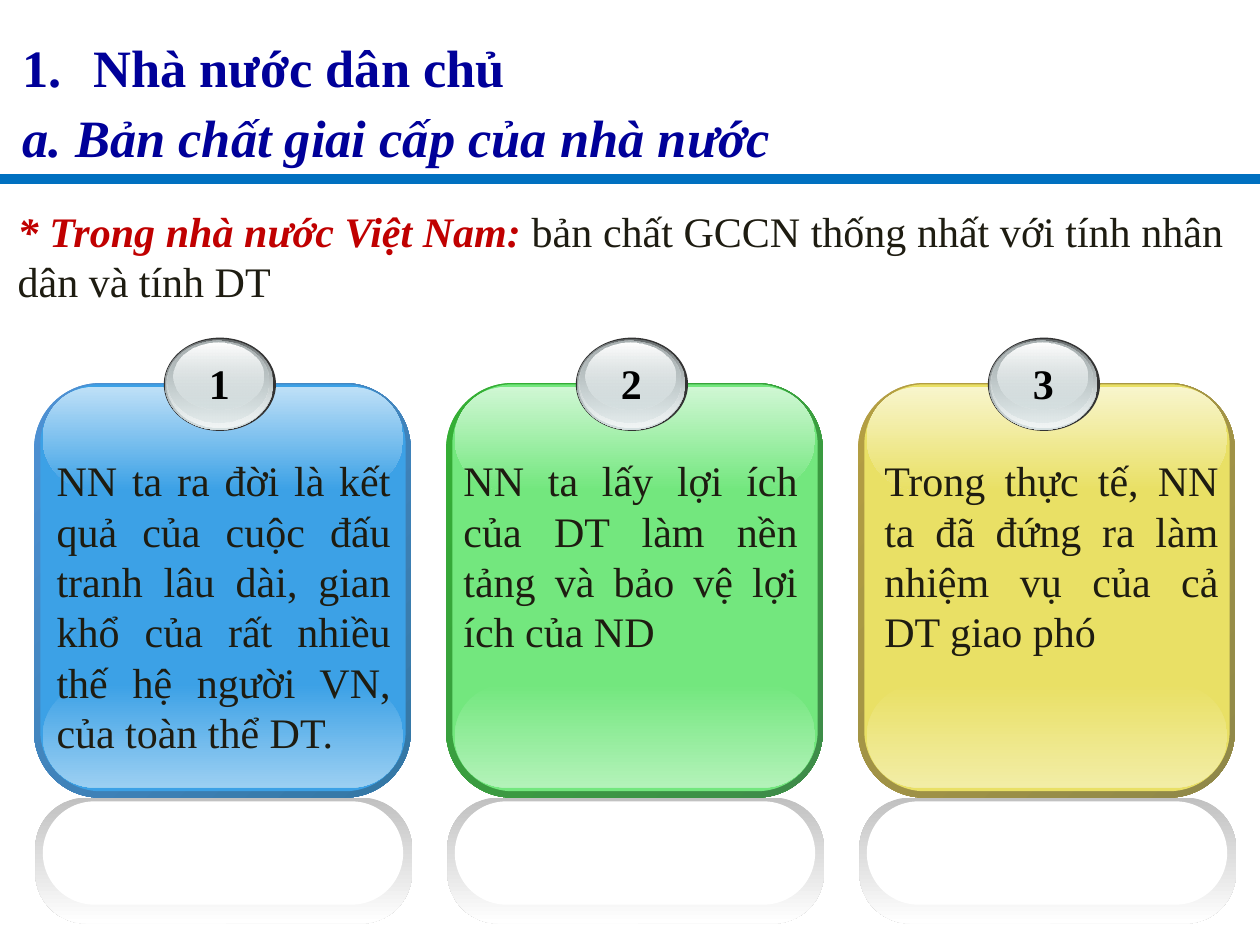
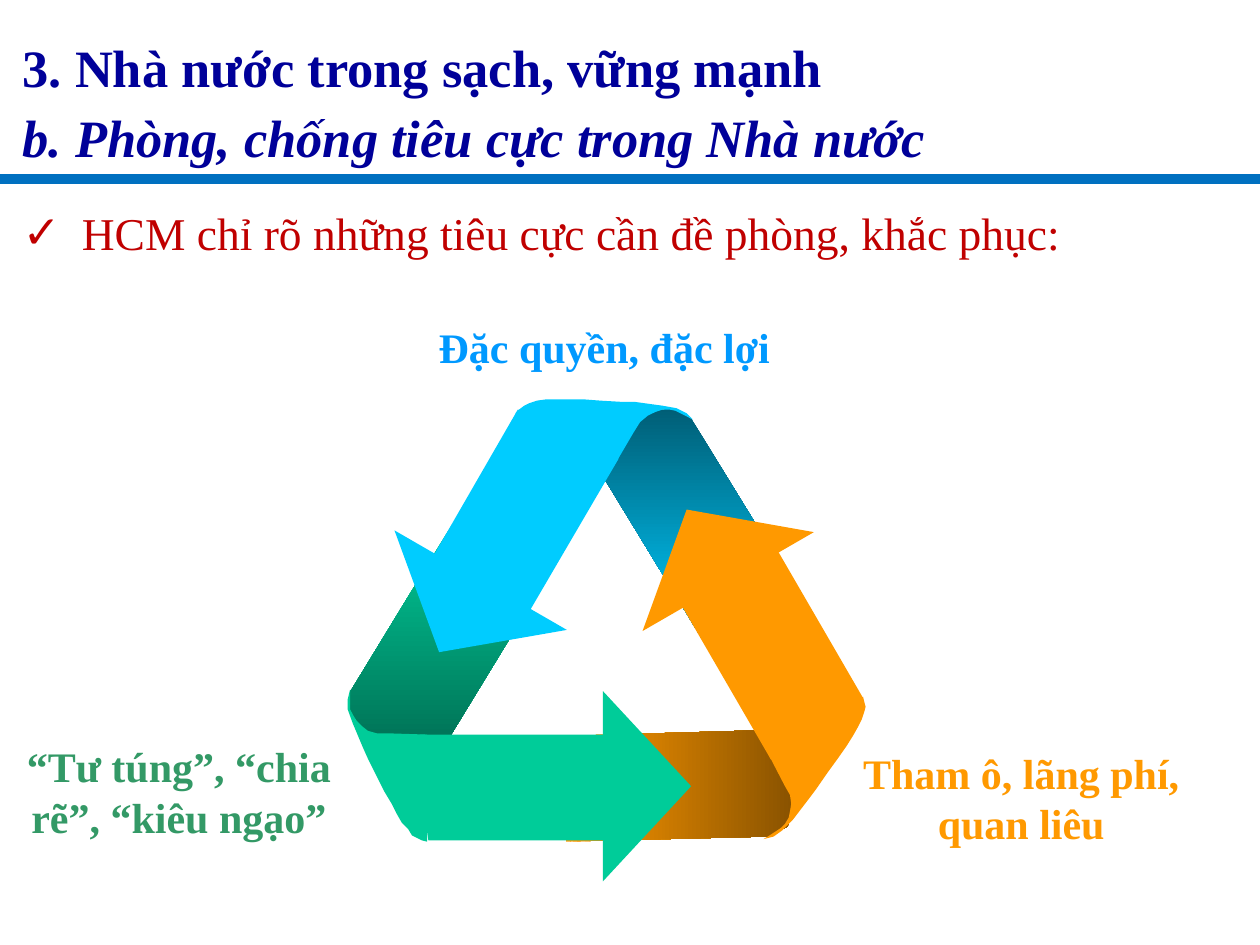
from lxml.etree import SubElement
from pptx import Presentation
from pptx.dml.color import RGBColor
from pptx.enum.shapes import MSO_CONNECTOR, MSO_SHAPE
from pptx.enum.text import MSO_ANCHOR, MSO_AUTO_SIZE, PP_ALIGN
from pptx.oxml.ns import qn
from pptx.util import Inches, Pt

FONT = "Times New Roman"
NAVY = RGBColor(0x00, 0x00, 0x99)
RULE_BLUE = RGBColor(0x00, 0x70, 0xC0)
RED = RGBColor(0xC0, 0x00, 0x00)
INK = RGBColor(0x1E, 0x1C, 0x11)
BLACK = RGBColor(0x00, 0x00, 0x00)
WHITE = RGBColor(0xFF, 0xFF, 0xFF)
SHADE = RGBColor(0xC1, 0xC1, 0xC1)

BADGE_EDGE = RGBColor(0x33, 0x33, 0x33)
BADGE_DARK = RGBColor(0x63, 0x68, 0x69)
BADGE_MID = RGBColor(0xAA, 0xB2, 0xB3)
BADGE_PALE = RGBColor(0xD6, 0xE1, 0xE2)
BADGE_LIGHT = RGBColor(0xF1, 0xF5, 0xF5)

CYAN = RGBColor(0x00, 0xCC, 0xFF)
DARK_CYAN = RGBColor(0x00, 0x5E, 0x76)
GREEN = RGBColor(0x00, 0xCC, 0x99)
DARK_GREEN = RGBColor(0x00, 0x5E, 0x47)
ORANGE = RGBColor(0xFF, 0x99, 0x00)
BROWN = RGBColor(0x76, 0x47, 0x00)
LABEL_BLUE = RGBColor(0x00, 0x99, 0xFF)
LABEL_GREEN = RGBColor(0x33, 0x99, 0x66)

# Edge start, edge end, face, bottom glow, top glow
BLUE_CARD = [RGBColor.from_string(c) for c in ("4E91D4", "3477A4", "3CA1E6", "9BCFF2", "BEE0F7")]
GREEN_CARD = [RGBColor.from_string(c) for c in ("34B034", "3F8B4A", "73E77E", "B3F2B9", "D0F7D4")]
YELLOW_CARD = [RGBColor.from_string(c) for c in ("B59F43", "8F8849", "E9E065", "F2EDA6", "F8F5CC")]

CARD_LEFT, CARD_PITCH = 0.27, 3.27
CARDS = [
    ("NN ta ra đời là kết quả của cuộc đấu tranh lâu dài, gian khổ của rất nhiều "
     "thế hệ người VN, của toàn thể DT.", BLUE_CARD, 0.35, 2.5),
    ("NN ta lấy lợi ích của DT làm nền tảng và bảo vệ lợi ích của ND", GREEN_CARD, 3.58, 1.7),
    ("Trong thực tế, NN ta đã đứng ra làm nhiệm vụ của cả DT giao phó", YELLOW_CARD, 6.92, 1.7),
]

CYAN_TAIL = [(5.59, 5.1), (4.51, 3.33), (5.35, 3.24), (5.49, 3.33), (6.33, 4.7)]
CYAN_BODY = [(4.08, 5.06), (4.91, 3.64), (4.51, 3.42), (4.11, 3.25), (3.32, 4.62)]
CYAN_FOLD = [
    (4.86, 3.72), (4.09, 3.28), (4.12, 3.25), (4.16, 3.22), (4.2, 3.2), (4.26, 3.18),
    (4.33, 3.17), (4.41, 3.17), (4.64, 3.17), (4.77, 3.18), (4.94, 3.19), (5.04, 3.19),
    (5.26, 3.22), (5.37, 3.24), (5.45, 3.28), (5.5, 3.33), (5.46, 3.31), (5.42, 3.29),
    (5.36, 3.26), (5.31, 3.25), (5.26, 3.25), (5.2, 3.27), (5.14, 3.3), (5.08, 3.35),
    (5.03, 3.43)]
ORANGE_TAIL = [(4.52, 5.84), (6.59, 5.78), (6.25, 6.56), (6.1, 6.64), (4.49, 6.68)]
ORANGE_BODY = [(5.29, 4.6), (6.12, 6.03), (6.5, 5.8), (6.85, 5.54), (6.05, 4.16)]
ORANGE_FOLD = [
    (6.09, 5.97), (6.85, 5.53), (6.86, 5.57), (6.87, 5.61), (6.86, 5.65), (6.84, 5.71),
    (6.81, 5.77), (6.77, 5.84), (6.72, 5.92), (6.65, 6.02), (6.57, 6.13), (6.48, 6.26),
    (6.42, 6.34), (6.29, 6.51), (6.21, 6.59), (6.14, 6.64), (6.06, 6.66), (6.11, 6.63),
    (6.17, 6.59), (6.2, 6.57), (6.23, 6.54), (6.26, 6.49), (6.27, 6.44), (6.28, 6.38),
    (6.27, 6.31), (6.23, 6.24)]
GREEN_TAIL = [(4.35, 4.57), (3.3, 6.29), (2.77, 5.64), (2.78, 5.49), (3.59, 4.16)]
GREEN_BODY = [(5.08, 5.83), (3.33, 5.83), (3.34, 6.26), (3.4, 6.67), (5.08, 6.67)]
GREEN_FOLD = [
    (3.39, 5.83), (3.39, 6.68), (3.35, 6.67), (3.31, 6.65), (3.27, 6.63), (3.24, 6.58),
    (3.19, 6.53), (3.15, 6.46), (3.11, 6.38), (3.05, 6.28), (2.99, 6.16), (2.92, 6.02),
    (2.88, 5.93), (2.8, 5.74), (2.76, 5.63), (2.76, 5.55), (2.78, 5.47), (2.78, 5.63),
    (2.8, 5.67), (2.83, 5.72), (2.87, 5.76), (2.92, 5.8), (2.99, 5.82), (3.07, 5.82)]


def paint(sp, colour, end=None, angle=90, alphas=(100, 100)):
    """Solid fill, or a clockwise-angled gradient to end; no outline or shadow."""
    sp.shadow.inherit = False
    sp.line.fill.background()
    if end is None:
        sp.fill.solid()
        sp.fill.fore_color.rgb = colour
        return
    sp.fill.gradient()
    sp.fill.gradient_angle = (360 - angle) % 360
    for stop, rgb in zip(sp.fill.gradient_stops, (colour, end)):
        stop.color.rgb = rgb
    for clr, alpha in zip(sp._element.spPr.iter(qn("a:srgbClr")), alphas):
        if alpha < 100:
            SubElement(clr, qn("a:alpha")).set("val", str(alpha * 1000))


def add_preset(s, kind, x, y, w, h, *fill, corner=None, turn=0, **fill_options):
    sp = s.shapes.add_shape(kind, Inches(x), Inches(y), Inches(w), Inches(h))
    if corner is not None:
        sp.adjustments[0] = corner
    sp.rotation = turn
    paint(sp, *fill, **fill_options)


def add_outline(s, points, *fill, **fill_options):
    corners = [(Inches(x), Inches(y)) for x, y in points]
    builder = s.shapes.build_freeform(*corners[0])
    builder.add_line_segments(corners[1:], close=True)
    paint(builder.convert_to_shape(), *fill, **fill_options)


def add_run(p, text, size, colour, bold=False, italic=False):
    r = p.add_run()
    r.text = text
    r.font.name, r.font.size = FONT, Pt(size)
    r.font.color.rgb = colour
    r.font.bold, r.font.italic = bold, italic


def add_label(s, x, y, w, h, text, colour, bold=True, align=PP_ALIGN.CENTER, wrap=True):
    tf = s.shapes.add_textbox(Inches(x), Inches(y), Inches(w), Inches(h)).text_frame
    tf.word_wrap = wrap
    p = tf.paragraphs[0]
    p.alignment = align
    add_run(p, text, 24, colour, bold)


def set_bullet(p, hang=0, tag="a:buNone", **attributes):
    pPr = p._p.get_or_add_pPr()
    pPr.set("marL", str(Inches(hang)))
    pPr.set("indent", str(-Inches(hang)))
    bullet = SubElement(pPr, qn(tag))
    for name, value in attributes.items():
        bullet.set(name, value)


def place_placeholder(sp, x, y, w, h):
    sp.left, sp.top, sp.width, sp.height = Inches(x), Inches(y), Inches(w), Inches(h)
    tf = sp.text_frame
    tf.auto_size = MSO_AUTO_SIZE.NONE
    tf.vertical_anchor = MSO_ANCHOR.TOP
    return tf


def start_slide(prs, heading, subheading, numbered=False):
    """Add a slide with the blue rule and the two-line title."""
    s = prs.slides.add_slide(prs.slide_layouts[1])
    rule = s.shapes.add_connector(MSO_CONNECTOR.STRAIGHT, 0, Inches(1.42), Inches(10), Inches(1.42))
    rule.line.color.rgb = RULE_BLUE
    rule.line.width = Pt(6)
    SubElement(rule._element.spPr, qn("a:effectLst"))

    tf = place_placeholder(s.shapes.title, 0.08, 0.18, 9.83, 1.2)
    for p, text, italic in ((tf.paragraphs[0], heading, False),
                            (tf.add_paragraph(), subheading, True)):
        if numbered and not italic:
            set_bullet(p, 0.56, "a:buAutoNum", type="arabicPeriod")
        p.alignment = PP_ALIGN.JUSTIFY
        p.line_spacing = 1.1
        add_run(p, text, 30, NAVY, True, italic)
    return s


def start_body(s, x, w, h, **bullet):
    tf = place_placeholder(s.placeholders[1], x, 1.58, w, h)
    p = tf.paragraphs[0]
    set_bullet(p, **bullet)
    p.alignment = PP_ALIGN.JUSTIFY
    p.space_before = Pt(0)
    return p


def add_badge(s, x, number):
    oval = MSO_SHAPE.OVAL
    add_preset(s, oval, x, 2.68, 0.89, 0.74, BADGE_EDGE)
    add_preset(s, oval, x + 0.01, 2.69, 0.86, 0.72, BADGE_DARK, BADGE_PALE)
    add_preset(s, oval, x + 0.02, 2.69, 0.84, 0.7, BADGE_PALE, BADGE_LIGHT, alphas=(0, 100))
    add_preset(s, oval, x + 0.03, 2.7, 0.8, 0.65, BADGE_MID, BADGE_PALE, alphas=(100, 48))
    add_preset(s, oval, x + 0.08, 2.72, 0.71, 0.53, WHITE, BADGE_PALE, alphas=(100, 38))
    add_label(s, x + 0.26, 2.79, 0.36, 0.5, str(number), BLACK, wrap=False)


def add_card(s, x, number, text, colours, text_left, text_height):
    edge_start, edge_end, face, bottom_glow, top_glow = colours
    box = MSO_SHAPE.ROUNDED_RECTANGLE
    add_preset(s, box, x, 3.04, 2.99, 3.29, edge_start, edge_end, angle=45, corner=0.175)
    add_preset(s, box, x + 0.05, 3.05, 2.9, 3.23, face, corner=0.165)
    add_preset(s, box, x + 0.07, 5.43, 2.86, 0.82, face, bottom_glow, corner=0.5)
    add_preset(s, box, x + 0.07, 3.07, 2.86, 0.82, top_glow, face, corner=0.5)
    add_preset(s, box, x + 0.01, 6.33, 2.99, 1, SHADE, WHITE, corner=0.404)
    add_preset(s, box, x + 0.07, 6.36, 2.86, 0.82, WHITE, corner=0.5)
    add_badge(s, x + 1.03, number)
    add_label(s, text_left, 3.56, 2.85, text_height, text, INK, False, PP_ALIGN.JUSTIFY)


def add_arrow_cycle(s):
    head = MSO_SHAPE.ISOSCELES_TRIANGLE
    add_outline(s, GREEN_TAIL, GREEN, DARK_GREEN)
    add_outline(s, CYAN_TAIL, DARK_CYAN, CYAN)
    add_preset(s, head, 2.86, 4.56, 1.58, 0.66, CYAN, turn=210)
    add_outline(s, CYAN_BODY, CYAN)
    add_outline(s, CYAN_FOLD, CYAN)
    add_outline(s, ORANGE_TAIL, ORANGE, BROWN, angle=0)
    add_preset(s, head, 4.83, 4, 1.57, 0.66, ORANGE, turn=330)
    add_outline(s, ORANGE_BODY, ORANGE)
    add_outline(s, ORANGE_FOLD, ORANGE)
    add_outline(s, GREEN_FOLD, GREEN)
    add_preset(s, head, 4.38, 5.89, 1.51, 0.7, GREEN, turn=90)
    add_outline(s, GREEN_BODY, GREEN)


def build_class_nature(prs):
    s = start_slide(prs, "Nhà nước dân chủ", "a. Bản chất giai cấp của nhà nước", numbered=True)
    p = start_body(s, 0.04, 9.77, 0.9)
    add_run(p, "* Trong nhà nước Việt Nam: ", 24, RED, True, True)
    add_run(p, "bản chất GCCN thống nhất với tính nhân dân và tính DT", 24, INK)
    for i, card in enumerate(CARDS):
        add_card(s, CARD_LEFT + i * CARD_PITCH, i + 1, *card)


def build_misconduct(prs):
    s = start_slide(prs, "3. Nhà nước trong sạch, vững mạnh",
                    "b. Phòng, chống tiêu cực trong Nhà nước")
    p = start_body(s, 0.08, 9.29, 0.54, hang=0.47, tag="a:buChar", char="✓")
    add_run(p, "HCM chỉ rõ những tiêu cực cần đề phòng, khắc phục:", 26, RED)
    add_arrow_cycle(s)
    add_label(s, 3.34, 2.5, 2.91, 0.5, "Đặc quyền, đặc lợi", LABEL_BLUE)
    add_label(s, 6.65, 5.88, 2.91, 0.9, "Tham ô, lãng phí, quan liêu", ORANGE)
    add_label(s, 0.04, 5.83, 2.76, 0.9, "“Tư túng”, “chia rẽ”, “kiêu ngạo”", LABEL_GREEN)


def main():
    prs = Presentation()
    prs.slide_width, prs.slide_height = Inches(10), Inches(7.5)
    build_class_nature(prs)
    build_misconduct(prs)
    prs.save("out.pptx")


if __name__ == "__main__":
    main()
